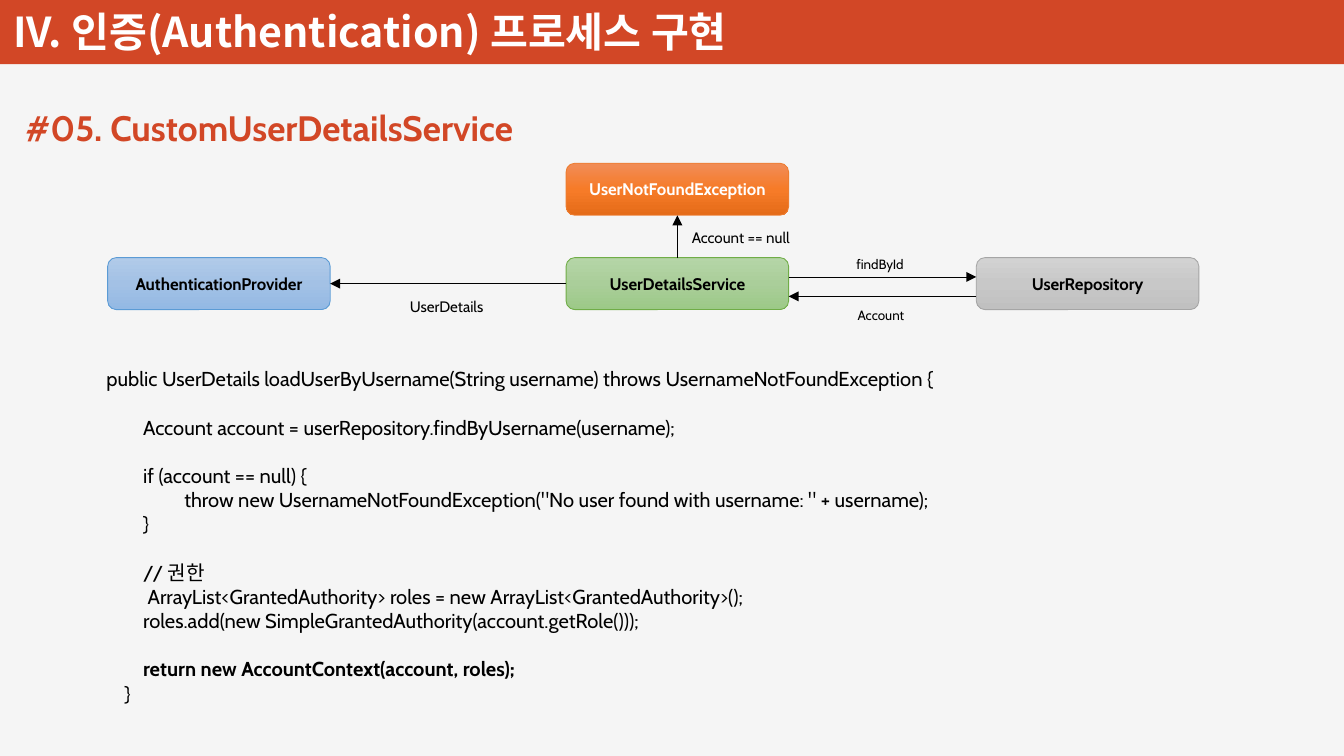
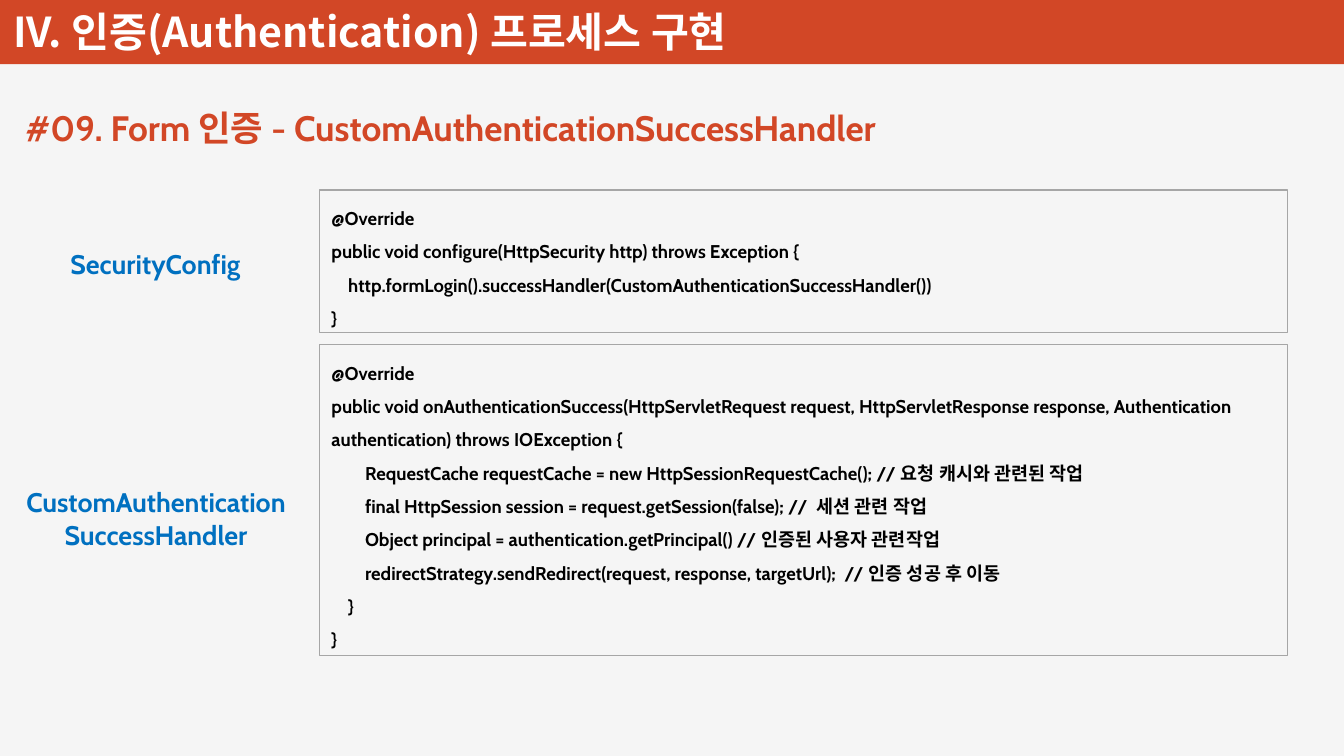
"""Build two slides on a custom authentication process."""
from typing import NamedTuple

from lxml.etree import SubElement as Sub
from pptx import Presentation
from pptx.dml.color import RGBColor as RGB
from pptx.enum.shapes import MSO_CONNECTOR as Conn, MSO_SHAPE as Kind
from pptx.enum.text import MSO_ANCHOR as Anchor, MSO_AUTO_SIZE as Fit, PP_ALIGN as Align
from pptx.oxml.ns import qn
from pptx.util import Inches, Pt

WIDE, HIGH = Inches(11.11), Inches(6.25)
RED, PALE, WHITE = RGB(0xD2, 0x47, 0x26), RGB(0xF5, 0xF5, 0xF5), RGB(255, 255, 255)
BLACK, BLUE, GREY = RGB(0, 0, 0), RGB(0x00, 0x70, 0xC0), RGB(0xA6, 0xA6, 0xA6)
SKY, LEAF = RGB(0x5B, 0x9B, 0xD5), RGB(0x70, 0xAD, 0x47)
RUST, STEEL = RGB(0xED, 0x7D, 0x31), RGB(0xA5, 0xA5, 0xA5)
SKIES = RGB(0xB1, 0xCB, 0xE9), RGB(0xA3, 0xC1, 0xE5), RGB(0x93, 0xB9, 0xE4)
LEAVES = RGB(0xB5, 0xD5, 0xA7), RGB(0xAA, 0xCE, 0x9A), RGB(0x9C, 0xC9, 0x87)
RUSTS = RGB(0xF1, 0x8C, 0x57), RGB(0xF6, 0x7B, 0x28), RGB(0xE5, 0x6C, 0x19)
STEELS = RGB(0xD2, 0xD2, 0xD2), RGB(0xC8, 0xC8, 0xC8), RGB(0xC0, 0xC0, 0xC0)
SANS, HANGUL = "Cabin", "Noto Sans CJK KR"


class Area(NamedTuple):
    x: float
    y: float
    w: float
    h: float

    def spot(self) -> tuple[int, int, int, int]:
        return across(self.x), down(self.y), across(self.w), down(self.h)


class Line(NamedTuple):
    text: str
    cols: int = 0
    gap: bool = False
    bold: bool = False


class Node(NamedTuple):
    text: str
    x: float
    y: float
    fills: tuple
    edge: RGB
    ink: RGB = BLACK


class Label(NamedTuple):
    text: str
    area: Area
    size: float


NODE_W, NODE_H, ROW = 16.56, 6.88, 34.08
LEFT, MID, RIGHT = 8.01, 42.12, 72.64
NODES = (
    Node("AuthenticationProvider", LEFT, ROW, SKIES, SKY),
    Node("UserDetailsService", MID, ROW, LEAVES, LEAF),
    Node("UserNotFoundException", MID, 21.6, RUSTS, RUST, WHITE),
    Node("UserRepository", RIGHT, ROW, STEELS, STEEL),
)
LABELS = (
    Label("UserDetails", Area(29.61, 38.56, 7.47, 4), 9),
    Label("Account == null", Area(50.59, 29.44, 9.9, 4), 9),
    Label("Account", Area(62.92, 39.84, 5.49, 3.84), 8),
    Label("findById", Area(62.83, 33.12, 5.49, 3.84), 8),
)
LOAD = (
    Line("public UserDetails loadUserByUsername(String username) throws UsernameNotFoundException {"),
    Line("Account account = userRepository.findByUsername(username);", 8, True),
    Line("if (account == null) {", 8, True),
    Line('throw new UsernameNotFoundException("No user found with username: " + username);', 17),
    Line("}", 8),
    Line("// 권한", 8, True),
    Line("ArrayList<GrantedAuthority> roles = new ArrayList<GrantedAuthority>();", 9),
    Line("roles.add(new SimpleGrantedAuthority(account.getRole()));", 8),
    Line("return new AccountContext(account, roles);", 8, True, True),
    Line("}", 4),
)
CONFIG = (
    Line("@Override"),
    Line("public void configure(HttpSecurity http) throws Exception {"),
    Line("http.formLogin().successHandler(CustomAuthenticationSuccessHandler())", 4),
    Line("}"),
)
SUCCESS = (
    Line("@Override"),
    Line("public void onAuthenticationSuccess(HttpServletRequest request, "
         "HttpServletResponse response, Authentication authentication) throws IOException {"),
    Line("RequestCache requestCache = new HttpSessionRequestCache(); // 요청 캐시와 관련된 작업", 8),
    Line("final HttpSession session = request.getSession(false); //  세션 관련 작업", 8),
    Line("Object principal = authentication.getPrincipal() // 인증된 사용자 관련작업", 8),
    Line("redirectStrategy.sendRedirect(request, response, targetUrl);  // 인증 성공 후 이동", 8),
    Line("}", 4),
    Line("}"),
)


def across(part: float) -> int:
    return round(WIDE * part / 100)


def down(part: float) -> int:
    return round(HIGH * part / 100)


def put(shape, *lines: Line, size: float, ink: RGB = BLACK, face: str = SANS,
        bold: bool = False, align=Align.LEFT, anchor=Anchor.TOP,
        wrap: bool = True, lead: float = 1.0) -> None:
    frame = shape.text_frame
    frame.auto_size, frame.word_wrap = Fit.NONE, wrap
    frame.vertical_anchor = anchor
    for rank, line in enumerate(lines):
        para = frame.add_paragraph() if rank else frame.paragraphs[0]
        para.alignment, para.line_spacing = align, lead
        para.space_before = Pt(size * 1.2 if line.gap else 0)
        props = para._p.get_or_add_pPr()
        props.set("marL", str(Pt(size * 0.227 * line.cols)))
        props.set("indent", "0")
        Sub(props, qn("a:buNone"))
        run = para.add_run()
        run.text = line.text
        font = run.font
        font.size, font.bold = Pt(size), bold or line.bold
        font.color.rgb, font.name = ink, face
        Sub(run._r.get_or_add_rPr(), qn("a:ea")).set("typeface", HANGUL)


def place(shape, area: Area):
    shape.left, shape.top, shape.width, shape.height = area.spot()
    return shape


def note(slide, text: str, area: Area, **form):
    box = slide.shapes.add_textbox(*area.spot())
    put(box, *(Line(part) for part in text.split("\n")), wrap=False, **form)
    return box


def brand(deck, slide) -> None:
    master = deck.slide_master
    fill = master.background.fill
    fill.solid()
    fill.fore_color.rgb = PALE
    band = slide.shapes.add_shape(Kind.RECTANGLE, *Area(0, 0, 100, 8.48).spot())
    band.shadow.inherit = False
    band.fill.solid()
    band.fill.fore_color.rgb = RED
    band.line.fill.background()
    head = note(slide, "IV. 인증(Authentication) 프로세스 구현", Area(0.09, -1.6, 60.49, 9.76),
                size=24.5, ink=WHITE, face=HANGUL, bold=True, anchor=Anchor.BOTTOM)
    for code, item in enumerate((band, head), 20):
        item.element.nvSpPr.cNvPr.id = code
        master.shapes.element.append(item.element)


def title(slide, text: str, width: float) -> None:
    shape = place(slide.shapes.title, Area(0.99, 13.28, width, 7.2))
    put(shape, Line(text), size=21, ink=RED, bold=True, wrap=False)


def draw(slide, node: Node):
    area = Area(node.x, node.y, NODE_W, NODE_H)
    box = slide.shapes.add_shape(Kind.ROUNDED_RECTANGLE, *area.spot())
    box.shadow.inherit = False
    box.fill.gradient()
    box.fill.gradient_angle = 270
    stops = box.element.spPr.find(".//" + qn("a:gsLst"))
    stops.clear()
    for rank, shade in enumerate(node.fills):
        stop = Sub(stops, qn("a:gs"), pos=str(rank * 50000))
        Sub(stop, qn("a:srgbClr"), val=str(shade))
    box.line.color.rgb, box.line.width = node.edge, Pt(0.5)
    put(box, Line(node.text), size=10, ink=node.ink, bold=True,
        align=Align.CENTER, anchor=Anchor.MIDDLE)
    return box


def arrow(slide, x: float = 0, y: float = 0, end: float = 0):
    link = slide.shapes.add_connector(Conn.STRAIGHT, across(x), down(y), across(end), down(y))
    link.line.color.rgb, link.line.width = BLACK, Pt(0.5)
    Sub(link.line._get_or_add_ln(), qn("a:tailEnd"), type="triangle")
    Sub(link.element.spPr, qn("a:effectLst"))
    return link


def join(slide, start, side: int, goal, face: int) -> None:
    link = arrow(slide)
    link.begin_connect(start, side)
    link.end_connect(goal, face)


def details(slide) -> None:
    title(slide, "#05. CustomUserDetailsService", 40.5)
    body = place(slide.placeholders[1], Area(7.02, 47.68, 81.37, 46.88))
    put(body, *LOAD, size=12)
    auth, user, error, store = [draw(slide, node) for node in NODES]
    join(slide, user, 1, auth, 3)
    join(slide, user, 0, error, 2)
    edge = MID + NODE_W
    arrow(slide, edge, 36.64, RIGHT)
    arrow(slide, RIGHT, 39.2, edge)
    for label in LABELS:
        note(slide, label.text, label.area, size=label.size)


def success(slide) -> None:
    title(slide, "#09. Form 인증 - CustomAuthenticationSuccessHandler", 70.48)
    for spot, lines, y, h in ((1, CONFIG, 25.12, 18.88), (2, SUCCESS, 45.6, 41.12)):
        box = place(slide.placeholders[spot], Area(23.76, y, 72.01, h))
        box.line.color.rgb, box.line.width = GREY, Pt(0.75)
        put(box, *lines, size=11, bold=True, lead=1.5)
    for text, area in (
        ("SecurityConfig", Area(3.69, 32, 15.75, 5.92)),
        ("CustomAuthentication\nSuccessHandler", Area(0, 63.52, 23.22, 10.24)),
    ):
        note(slide, text, area, size=16, ink=BLUE, bold=True, align=Align.CENTER)


def main() -> None:
    deck = Presentation()
    deck.slide_width, deck.slide_height = WIDE, HIGH
    first, second = (deck.slides.add_slide(deck.slide_layouts[n]) for n in (1, 3))
    brand(deck, first)
    details(first)
    success(second)
    deck.save("out.pptx")


if __name__ == "__main__":
    main()
